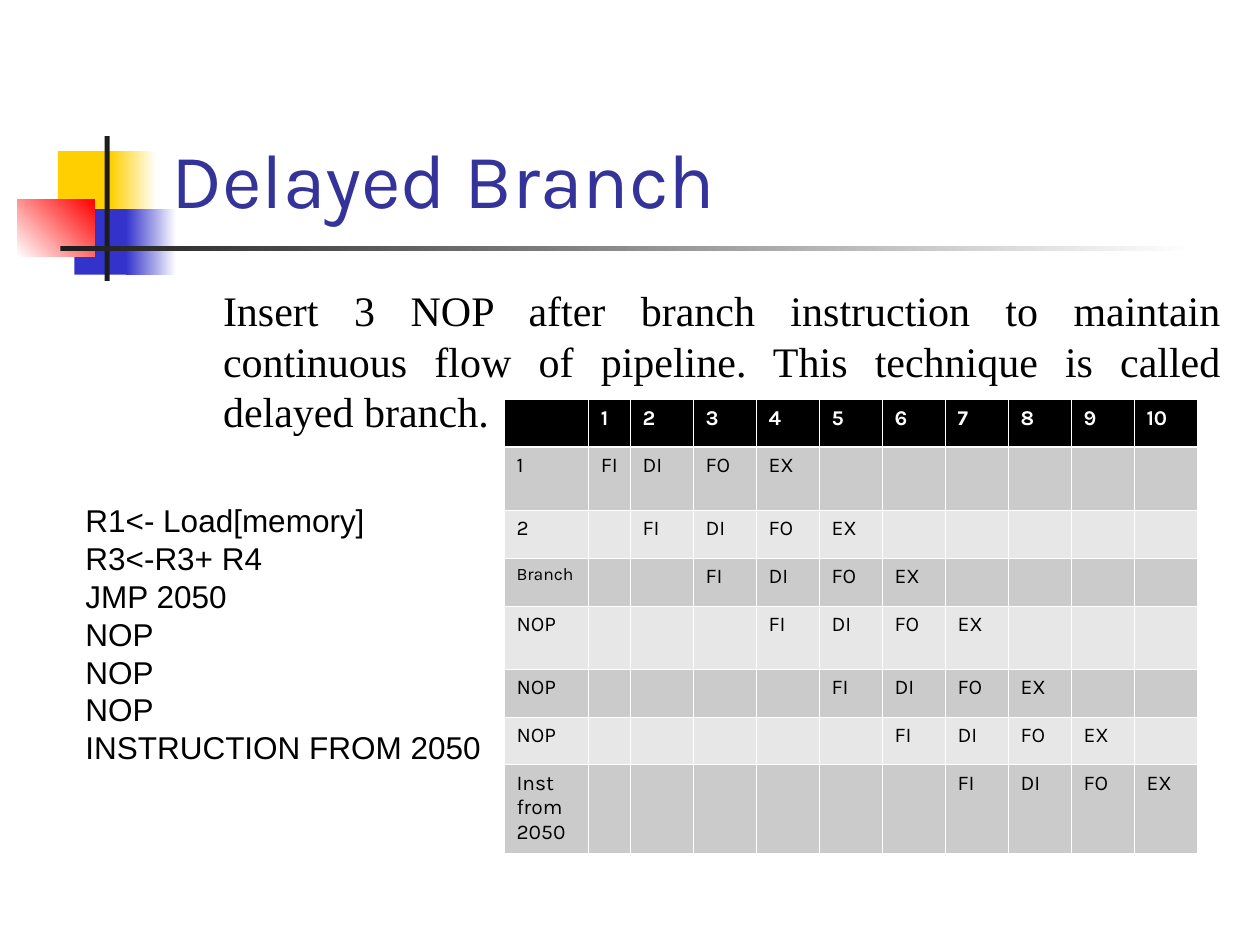
import pptx
import pptx.dml.color
import pptx.enum.shapes
import pptx.enum.text
import pptx.oxml.ns
import pptx.util
from lxml import etree

Inches = pptx.util.Inches
Pt = pptx.util.Pt
RGBColor = pptx.dml.color.RGBColor
qn = pptx.oxml.ns.qn

YELLOW = RGBColor(0xFF, 0xCF, 0x01)
BLUE = RGBColor(0x33, 0x33, 0xCC)
RED = RGBColor(0xFF, 0x00, 0x00)
CHARCOAL = RGBColor(0x1C, 0x1C, 0x1C)
TITLE_BLUE = RGBColor(0x33, 0x33, 0x99)
BLACK = RGBColor(0x00, 0x00, 0x00)
WHITE = RGBColor(0xFF, 0xFF, 0xFF)
DARK_BAND = RGBColor(0xCB, 0xCB, 0xCB)
LIGHT_BAND = RGBColor(0xE7, 0xE7, 0xE7)

# Left, top, width, height, colours (two make a gradient), gradient angle
ORNAMENTS = [
    (0.46, 1.2, 0.48, 0.52, [YELLOW], 0),
    (0.88, 1.2, 0.36, 0.52, [YELLOW, WHITE], 0),
    (0.59, 1.66, 0.46, 0.52, [BLUE], 0),
    (1, 1.66, 0.4, 0.52, [BLUE, WHITE], 0),
    (0.14, 1.58, 0.61, 0.46, [WHITE, RED], 45),
    (0.83, 1.08, 0.04, 1.15, [CHARCOAL], 0),
    (0.48, 1.95, 9, 0.04, [CHARCOAL, WHITE], 0),
]
PROGRAM = ["R1<- Load[memory]", "R3<-R3+ R4", "JMP 2050", "NOP", "NOP", "NOP",
           "INSTRUCTION FROM 2050"]
INSTRUCTIONS = ["1", "2", "Branch", "NOP", "NOP", "NOP", "Inst from 2050"]
STAGES = ["FI", "DI", "FO", "EX"]
CYCLES = 10
COLUMN_WIDTHS = [0.67, 0.33] + [0.5] * (CYCLES - 1)
ROW_HEIGHTS = [0.38, 0.5, 0.38, 0.38, 0.5, 0.38, 0.38, 0.7]


def place(shape, left, top, width, height):
    shape.left, shape.top = Inches(left), Inches(top)
    shape.width, shape.height = Inches(width), Inches(height)


def format_runs(paragraph, font_name, size, color, bold=False):
    for run in paragraph.runs:
        run.font.name = font_name
        run.font.size = Pt(size)
        run.font.color.rgb = color
        run.font.bold = bold


def add_ornament(slide, left, top, width, height, colors, angle):
    shape = slide.shapes.add_shape(
        pptx.enum.shapes.MSO_SHAPE.RECTANGLE,
        Inches(left), Inches(top), Inches(width), Inches(height))
    shape.shadow.inherit = False
    shape.line.fill.background()
    if len(colors) == 1:
        shape.fill.solid()
        shape.fill.fore_color.rgb = colors[0]
    else:
        shape.fill.gradient()
        shape.fill.gradient_angle = angle
        for stop, color in zip(shape.fill.gradient_stops, colors):
            stop.color.rgb = color


def set_title(slide, text):
    title = slide.shapes.title
    place(title, 1.26, 0.23, 8.52, 1.6)
    frame = title.text_frame
    frame.text = text
    frame.auto_size = pptx.enum.text.MSO_AUTO_SIZE.NONE
    frame.vertical_anchor = pptx.enum.text.MSO_ANCHOR.BOTTOM
    paragraph = frame.paragraphs[0]
    paragraph.alignment = pptx.enum.text.PP_ALIGN.LEFT
    format_runs(paragraph, "Karla", 44, TITLE_BLUE)


def set_body(slide, text):
    body = slide.placeholders[1]
    place(body, 1.29, 2.21, 8.5, 4.5)
    frame = body.text_frame
    frame.text = text
    frame.auto_size = pptx.enum.text.MSO_AUTO_SIZE.NONE
    paragraph = frame.paragraphs[0]
    paragraph.alignment = pptx.enum.text.PP_ALIGN.JUSTIFY
    paragraph.space_before = Pt(6)
    paragraph.line_spacing = Pt(28.8)
    format_runs(paragraph, "Times New Roman", 24, BLACK)
    # Indented block without a bullet
    properties = paragraph._p.get_or_add_pPr()
    properties.set("marL", str(Inches(0.38)))
    properties.set("indent", "0")
    etree.SubElement(properties, qn("a:buNone"))


def add_program(slide, lines):
    box = slide.shapes.add_textbox(
        Inches(0.58), Inches(3.93), Inches(3.67), Inches(2.2))
    frame = box.text_frame
    frame.word_wrap = True
    frame.text = "\n".join(lines)
    for paragraph in frame.paragraphs:
        paragraph.line_spacing = Pt(21.6)
        format_runs(paragraph, "Arial", 18, BLACK)


def set_borders(cell, widths):
    properties = cell._tc.get_or_add_tcPr()
    for side, width in zip("LRTB", widths):
        line = etree.SubElement(properties, qn("a:ln" + side), w=str(Pt(width)))
        fill = etree.SubElement(line, qn("a:solidFill"))
        etree.SubElement(fill, qn("a:srgbClr"), val=str(WHITE))


def cell_text(row, column):
    if row == 0:
        return str(column) if column else ""
    if column == 0:
        return INSTRUCTIONS[row - 1]
    # Each instruction enters the pipeline one cycle after the one before
    stage = column - row
    return STAGES[stage] if 0 <= stage < len(STAGES) else ""


def fill_cell(cell, row, column):
    header = row == 0
    text = cell_text(row, column)
    set_borders(cell, [0.45, 0.45, 1.47 if row == 1 else 0.45,
                       1.47 if header else 0.45])
    cell.fill.solid()
    band = DARK_BAND if row % 2 else LIGHT_BAND
    cell.fill.fore_color.rgb = BLACK if header else band
    # Leaves the narrow first cycle room for its label on one line
    cell.margin_right = Inches(0.04)
    cell.text_frame.text = text
    paragraph = cell.text_frame.paragraphs[0]
    if text:
        format_runs(paragraph, "Karla", 10 if text == "Branch" else 12,
                    WHITE if header else BLACK, header)
    else:
        # Keeps empty cells from stretching their row
        etree.SubElement(paragraph._p, qn("a:endParaRPr"), sz="1200")


def add_pipeline_table(slide):
    table = slide.shapes.add_table(
        len(ROW_HEIGHTS), len(COLUMN_WIDTHS), Inches(4), Inches(3.17),
        Inches(sum(COLUMN_WIDTHS)), Inches(sum(ROW_HEIGHTS))).table
    for column, width in zip(table.columns, COLUMN_WIDTHS):
        column.width = Inches(width)
    for row, height in enumerate(ROW_HEIGHTS):
        table.rows[row].height = Inches(height)
        for column in range(len(COLUMN_WIDTHS)):
            fill_cell(table.cell(row, column), row, column)


def main():
    presentation = pptx.Presentation()
    presentation.slide_width = Inches(10)
    presentation.slide_height = Inches(7.5)
    slide = presentation.slides.add_slide(presentation.slide_layouts[1])

    # Corner ornament and rule
    for ornament in ORNAMENTS:
        add_ornament(slide, *ornament)

    # Text
    set_title(slide, "Delayed Branch")
    set_body(slide, "Insert 3 NOP after branch instruction to maintain continuous "
                    "flow of pipeline. This technique is called delayed branch.")

    # Pipeline timing and its program
    add_pipeline_table(slide)
    add_program(slide, PROGRAM)

    presentation.save("out.pptx")


if __name__ == "__main__":
    main()
